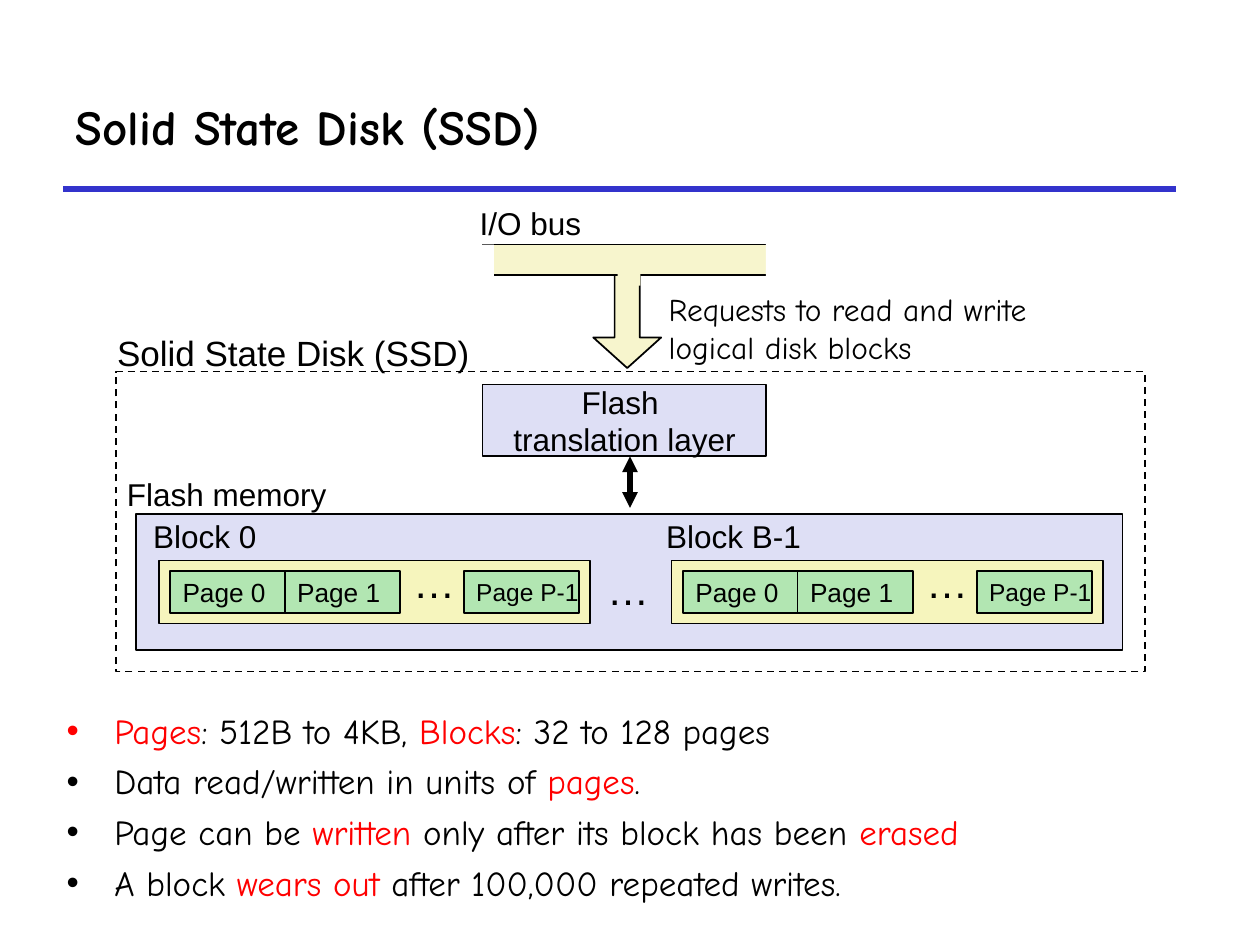
from dataclasses import dataclass

from lxml import etree
from pptx import Presentation
from pptx.dml.color import RGBColor
from pptx.enum.dml import MSO_LINE
from pptx.enum.shapes import MSO_CONNECTOR, MSO_SHAPE
from pptx.enum.text import MSO_ANCHOR, MSO_AUTO_SIZE, PP_ALIGN
from pptx.oxml.ns import qn
from pptx.util import Cm, Pt

RECT, DOWN_ARROW = MSO_SHAPE.RECTANGLE, MSO_SHAPE.DOWN_ARROW
STRAIGHT, DASH = MSO_CONNECTOR.STRAIGHT, MSO_LINE.DASH
LEFT, CENTER = PP_ALIGN.LEFT, PP_ALIGN.CENTER
TOP, MIDDLE = MSO_ANCHOR.TOP, MSO_ANCHOR.MIDDLE
NO_FIT = MSO_AUTO_SIZE.NONE

SANS, COMIC = "Arial", "Comic Neue"
COLORS = {
    "black": "000000",
    "white": "FFFFFF",
    "red": "FF0000",
    "rule": "3333CC",
    "lavender": "DEDFF5",
    "bus": "F7F5CD",
    "block": "F6F5BD",
    "page": "B2E6B2",
}


@dataclass(frozen=True)
class Box:
    """Left, top, width and height in centimetres."""
    x: float
    y: float
    w: float
    h: float

    def lengths(self):
        return Cm(self.x), Cm(self.y), Cm(self.w), Cm(self.h)


@dataclass(frozen=True)
class Block:
    label: str
    x: float
    label_width: float


@dataclass(frozen=True)
class Page:
    label: str
    dx: float
    size: float


BLOCKS = [Block("Block 0", 3.2, 2.59), Block("Block B-1", 13.54, 3.4)]
PAGES = [Page("Page 0", 0.23, 15), Page("Page 1", 2.54, 15), Page("Page P-1", 6.15, 14)]
FACTS = [
    [("Pages", "red"), (": 512B to 4KB, ", "black"), ("Blocks", "red"),
     (": 32 to 128 pages", "black")],
    [("Data read/written in units of ", "black"), ("pages", "red"), (".", "black")],
    [("Page can be ", "black"), ("written", "red"),
     (" only after its block has been ", "black"), ("erased", "red")],
    [("A block ", "black"), ("wears out ", "red"),
     ("after 100,000 repeated writes.", "black")],
]


def rgb(name: str) -> RGBColor:
    return RGBColor.from_string(COLORS[name])


def add_bullet(p, color: str) -> None:
    pPr = p._p.get_or_add_pPr()
    pPr.set("marL", str(Cm(0.96)))
    pPr.set("indent", str(-Cm(0.96)))
    bullet_color = etree.SubElement(pPr, qn("a:buClr"))
    etree.SubElement(bullet_color, qn("a:srgbClr"), val=COLORS[color])
    etree.SubElement(pPr, qn("a:buFont"), typeface=SANS)
    etree.SubElement(pPr, qn("a:buChar"), char="•")


def write(tf, lines, *, size=18, font=SANS, bold=False, align=LEFT, anchor=TOP,
          wrap=False, bullets=False, gap=0) -> None:
    """Fill a text frame; each line is a list of (text, colour) runs."""
    tf.word_wrap, tf.auto_size, tf.vertical_anchor = wrap, NO_FIT, anchor
    for i, runs in enumerate(lines):
        p = tf.add_paragraph() if i else tf.paragraphs[0]
        if bullets:
            add_bullet(p, runs[0][1])
        p.alignment = align
        p.space_before = Pt(gap if i else 0)
        for text, color in runs:
            r = p.add_run()
            r.text = text
            r.font.size, r.font.name, r.font.bold = Pt(size), font, bold
            r.font.color.rgb = rgb(color)


def add_label(s, box: Box, text: str, **fmt) -> None:
    write(s.shapes.add_textbox(*box.lengths()).text_frame, [[(text, "black")]], **fmt)


def add_box(s, box: Box, fill=None, outlined=True, kind=RECT, dash=None):
    sp = s.shapes.add_shape(kind, *box.lengths())
    sp.shadow.inherit = False
    if fill:
        sp.fill.solid()
        sp.fill.fore_color.rgb = rgb(fill)
    else:
        sp.fill.background()
    if outlined:
        sp.line.color.rgb, sp.line.width = rgb("black"), Pt(1)
        if dash:
            sp.line.dash_style = dash
    else:
        sp.line.fill.background()
    return sp


def add_line(s, x1: float, y1: float, x2: float, y2: float, color: str, arrows=False) -> None:
    line = s.shapes.add_connector(STRAIGHT, Cm(x1), Cm(y1), Cm(x2), Cm(y2))
    line.line.color.rgb, line.line.width = rgb(color), Pt(3)
    if arrows:
        ln = line.line._get_or_add_ln()
        for end in ("a:headEnd", "a:tailEnd"):
            etree.SubElement(ln, qn(end), type="triangle")
    etree.SubElement(line._element.spPr, qn("a:effectLst"))


def fill_placeholder(sp, box: Box, lines, **fmt) -> None:
    sp.left, sp.top, sp.width, sp.height = box.lengths()
    write(sp.text_frame, lines, font=COMIC, wrap=True, **fmt)


def add_block(s, block: Block) -> None:
    add_box(s, Box(block.x, 11.3, 8.69, 1.27), "block")
    for page in PAGES:
        sp = add_box(s, Box(block.x + page.dx, 11.51, 2.33, 0.85), "page")
        write(sp.text_frame, [[(page.label, "black")]], size=page.size, anchor=MIDDLE)
    add_label(s, Box(block.x + 4.88, 11.1, 1.35, 1.27), "…", size=24)
    add_label(s, Box(block.x - 0.36, 10.29, block.label_width, 1.02), block.label)


def add_bus(s) -> None:
    arrow = add_box(s, Box(11.96, 5.51, 1.37, 1.91), "bus", kind=DOWN_ARROW)
    arrow.adjustments[0], arrow.adjustments[1] = 0.37, 0.45
    add_box(s, Box(9.73, 4.93, 5.92, 0.61), "bus")
    add_box(s, Box(12.45, 5.33, 0.46, 0.43), "bus", outlined=False)
    add_label(s, Box(9.42, 3.99, 2.54, 1.02), "I/O bus", anchor=MIDDLE)
    # White patches leave both ends of the bus open.
    for x, y in ((8.69, 4.93), (15.44, 4.65)):
        add_box(s, Box(x, y, 1.27, 1.27), "white", outlined=False)


def main() -> None:
    prs = Presentation()
    prs.slide_width, prs.slide_height = Cm(25.4), Cm(19.05)
    s = prs.slides.add_slide(prs.slide_layouts[1])

    fill_placeholder(s.shapes.title, Box(1.27, 1.27, 22.43, 2.54),
                     [[("Solid State Disk (SSD)", "black")]],
                     size=28, bold=True, anchor=MIDDLE)
    fill_placeholder(s.placeholders[1], Box(1.09, 14.17, 23.67, 4.24), FACTS,
                     size=20, bullets=True, gap=5)
    add_line(s, 1.27, 3.81, 23.7, 3.81, "rule")

    add_bus(s)
    add_label(s, Box(13.23, 5.72, 8.99, 1.78),
              "Requests to read and write logical disk blocks", font=COMIC, wrap=True)

    add_box(s, Box(2.34, 7.49, 20.75, 6.05), dash=DASH)
    add_label(s, Box(2.11, 6.55, 7.62, 1.12), "Solid State Disk (SSD)", size=20)
    layer = add_box(s, Box(9.73, 7.75, 5.72, 1.45), "lavender")
    write(layer.text_frame, [[("Flash ", "black")], [("translation layer", "black")]],
          align=CENTER, anchor=MIDDLE)
    add_line(s, 12.7, 9.2, 12.7, 10.24, "black", arrows=True)

    add_box(s, Box(2.74, 10.36, 19.89, 2.74), "lavender")
    add_label(s, Box(2.31, 9.45, 4.52, 1.02), "Flash memory")
    for block in BLOCKS:
        add_block(s, block)
    add_label(s, Box(11.99, 11.23, 1.35, 1.27), "…", size=24)

    prs.save("out.pptx")


if __name__ == "__main__":
    main()
